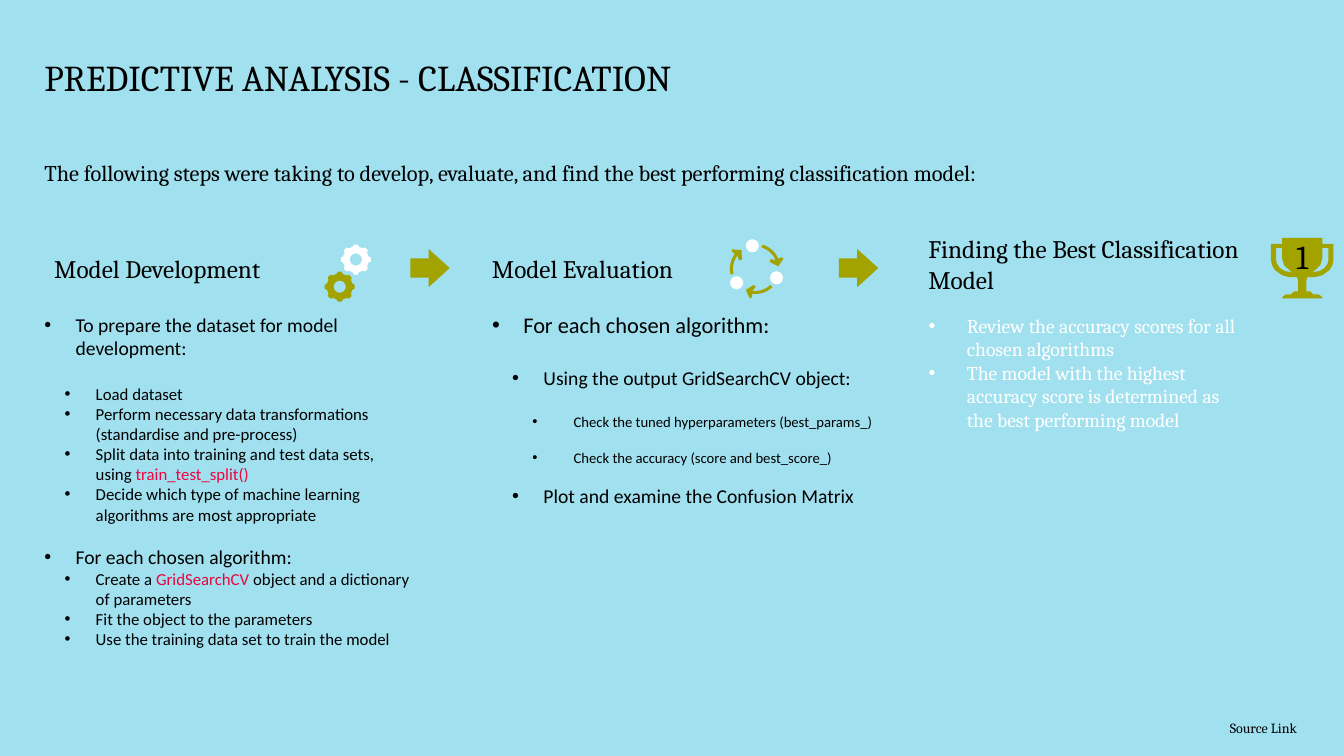
from math import cos, radians, sin

from pptx import Presentation
from pptx import util as u
from pptx.dml.color import RGBColor
from pptx.enum import shapes, text
from pptx.oxml.ns import qn

WIDTH, HEIGHT = u.Inches(13.33), u.Inches(7.5)
SKY, OLIVE, WHITE, BLACK, PINK = "A1E0EE", "A3A300", "FFFFFF", "000000", "EA0440"
SERIF, SANS = "Cambria", "Calibri"

# Left edges of the three columns, in percent of the slide width
COLUMNS = (3.3, 35.86, 68.34)

# List lines: (level, size, space before in points, text); `marks` show code
DEVELOPMENT = [
    (0, 14, 0, "To prepare the dataset for model development:"),
    (1, 12, 17, "Load dataset"),
    (1, 12, 0, "Perform necessary data transformations (standardise and pre-process)"),
    (1, 12, 0, "Split data into training and test data sets, using `train_test_split()`"),
    (1, 12, 0, "Decide which type of machine learning algorithms are most appropriate"),
    (0, 14, 14.6, "For each chosen algorithm:"),
    (1, 12, 0, "Create a `GridSearchCV` object and a dictionary of parameters"),
    (1, 12, 0, "Fit the object to the parameters"),
    (1, 12, 0, "Use the training data set to train the model"),
]
EVALUATION = [
    (0, 16, 0, "For each chosen algorithm:"),
    (1, 14, 19.5, "Using the output GridSearchCV object:"),
    (2, 10.5, 17, "Check the tuned hyperparameters (best_params_)"),
    (2, 10.5, 12.8, "Check the accuracy (score and best_score_)"),
    (1, 14, 12.8, "Plot and examine the Confusion Matrix"),
]
SELECTION = [
    (0, 14, 0, "Review the accuracy scores for all chosen algorithms"),
    (0, 14, 0, "The model with the highest accuracy score is determined as the best "
               "performing model"),
]
# Left margin and hanging indent of each list level, in inches
STEP_INDENTS = [(0.31, 0.31), (0.51, 0.31), (0.81, 0.41)]
WIDE_INDENTS = [(0.38, 0.38)]

# Icon outlines: inches from the icon's centre line, or (degrees, radius)
CUP = [(0.2, 0), (0.2, 0.06), (0.31, 0.06), (0.31, 0.22), (0.3, 0.27), (0.27, 0.32),
       (0.2, 0.37), (0.13, 0.39), (0.05, 0.39), (0.04, 0.43), (0.04, 0.53), (0.08, 0.53),
       (0.11, 0.56), (0.16, 0.56), (0.19, 0.58), (0.2, 0.6)]
HANDLE = [(0.2, 0.1), (0.26, 0.1), (0.26, 0.22), (0.25, 0.26), (0.22, 0.3), (0.17, 0.33),
          (0.1, 0.34), (0.15, 0.3), (0.18, 0.27), (0.2, 0.2)]
TOOTH = [(-14, 0.13), (-7, 0.15), (7, 0.15), (14, 0.13)]
ARROW_HEAD = [(73, 0.28), (77, 0.3), (91, 0.23), (72, 0.16), (65, 0.18), (74, 0.22)]


def color(value):
    return RGBColor.from_string(value)


def across(share):
    return round(WIDTH * share / 100)


def down(share):
    return round(HEIGHT * share / 100)


def area(left, top, width, height):
    return across(left), down(top), across(width), down(height)


def polar(degrees, radius):
    return radius * cos(radians(degrees)), radius * sin(radians(degrees))


def style(font, size, face, ink=BLACK):
    font.size, font.name, font.bold = u.Pt(size), face, False
    font.color.rgb = color(ink)


def move(box, place):
    box.left, box.top, box.width, box.height = place


def set_frame(box, anchor, inset=None):
    frame = box.text_frame
    frame.word_wrap = True
    frame.auto_size = text.MSO_AUTO_SIZE.NONE
    frame.vertical_anchor = anchor
    if inset is not None:
        frame.margin_left = frame.margin_right = u.Inches(inset)
        frame.margin_top = frame.margin_bottom = u.Inches(inset)
    return frame


def write_line(frame, words, size):
    para = frame.paragraphs[0]
    para.text = words
    para.alignment = text.PP_ALIGN.LEFT
    para.space_before = u.Pt(0)
    style(para.font, size, SERIF)
    return para


def fill_placeholder(box, place, words, size, anchor):
    move(box, place)
    return write_line(set_frame(box, anchor, 0), words, size)


def add_label(page, place, words, size, anchor=text.MSO_ANCHOR.TOP):
    box = page.shapes.add_textbox(*place)
    frame = set_frame(box, anchor)
    write_line(frame, words, size)
    return frame


def fill_list(box, place, lines, indents, face, ink=BLACK, inset=None):
    move(box, place)
    frame = set_frame(box, text.MSO_ANCHOR.TOP, inset)
    for index, (level, size, gap, words) in enumerate(lines):
        para = frame.add_paragraph() if index else frame.paragraphs[0]
        para.level = level
        para.space_before = u.Pt(gap)
        margin, hang = indents[level]
        props = para._p.get_or_add_pPr()
        props.set("marL", str(u.Inches(margin)))
        props.set("indent", str(-u.Inches(hang)))
        bullet_font = props.makeelement(qn("a:buFont"), {"typeface": "Arial"})
        props.append(bullet_font)
        props.append(props.makeelement(qn("a:buChar"), {"char": "•"}))
        style(para.font, size, face, ink)
        for part, piece in enumerate(words.split("`")):
            if piece:
                span = para.add_run()
                span.text = piece
                if part % 2:
                    span.font.color.rgb = color(PINK)


def paint(shape, fill):
    shape.shadow.inherit = False
    shape.fill.solid()
    shape.fill.fore_color.rgb = color(fill)
    shape.line.fill.background()
    return shape


def add_outline(page, center, contours, fill):
    x, y = center
    placed = [[(x + u.Inches(dx), y + u.Inches(dy)) for dx, dy in contour]
              for contour in contours]
    builder = page.shapes.build_freeform(*placed[0][0], scale=1.0)
    builder.add_line_segments(placed[0][1:], close=True)
    for contour in placed[1:]:
        builder.move_to(*contour[0])
        builder.add_line_segments(contour[1:], close=True)
    return paint(builder.convert_to_shape(), fill)


def add_gear(page, center, fill):
    rim = [polar(turn + angle, radius) for turn in range(-90, 270, 45)
           for angle, radius in TOOTH]
    hole = [polar(angle, 0.06) for angle in range(0, 360, 15)]
    add_outline(page, center, [rim, hole], fill)


def add_cycle(page, center):
    outer = [(angle, 0.25) for angle in range(24, 75, 5)]
    inner = [(angle, 0.22) for angle in range(74, 23, -5)]
    size = u.Inches(0.13)
    for turn in (-97, 23, 143):
        arrow = [polar(turn + angle, radius) for angle, radius in outer + ARROW_HEAD + inner]
        add_outline(page, center, [arrow], OLIVE)
        dx, dy = polar(turn, 0.23)
        node = page.shapes.add_shape(
            shapes.MSO_SHAPE.OVAL, center[0] + u.Inches(dx) - size // 2,
            center[1] + u.Inches(dy) - size // 2, size, size)
        paint(node, WHITE)


def add_trophy(page, center):
    def mirrored(points):
        return [(-x, y) for x, y in reversed(points)]

    cup = add_outline(page, center, [CUP + mirrored(CUP), HANDLE, mirrored(HANDLE)], OLIVE)
    frame = set_frame(cup, text.MSO_ANCHOR.MIDDLE, 0)
    frame.margin_bottom = u.Inches(0.24)
    write_line(frame, "1", 24).alignment = text.PP_ALIGN.CENTER


def add_step_arrow(page, left):
    arrow = page.shapes.add_shape(shapes.MSO_SHAPE.RIGHT_ARROW, *area(left, 32.93, 2.93, 5.07))
    arrow.adjustments[0], arrow.adjustments[1] = 0.5, 0.55
    paint(arrow, OLIVE)


def main():
    deck = Presentation()
    deck.slide_width, deck.slide_height = WIDTH, HEIGHT
    page = deck.slides.add_slide(deck.slide_layouts.get_by_name("Comparison"))
    page.background.fill.solid()
    page.background.fill.fore_color.rgb = color(SKY)
    slots = page.placeholders
    first, second, third = COLUMNS

    # Title, introduction and link
    title = fill_placeholder(page.shapes.title, area(first, 2.8, 89.8, 10.4),
                             "PREDICTIVE ANALYSIS - CLASSIFICATION", 26,
                             text.MSO_ANCHOR.BOTTOM)
    title.line_spacing = 0.9
    fill_placeholder(slots[1], area(first, 21.07, 93.55, 10.13),
                     "The following steps were taking to develop, evaluate, and find "
                     "the best performing classification model:", 16, text.MSO_ANCHOR.TOP)
    link = add_label(page, area(90.77, 94.53, 7.35, 3.6), "Source Link", 10)
    link.word_wrap = False

    # Column headings
    middle = text.MSO_ANCHOR.MIDDLE
    add_label(page, area(first, 30.4, 28.36, 10.27), "Model Development", 18, middle)
    add_label(page, area(second, 30.93, 20.93, 9.2), "Model Evaluation", 18, middle)
    add_label(page, area(third, 30.27, 28.36, 10.53), "Finding the Best Classification Model", 18)

    # Column lists
    fill_list(slots[2], area(first, 41.33, 27.23, 49.6), DEVELOPMENT, STEP_INDENTS, SANS, inset=0)
    fill_list(slots[4], area(second, 40.53, 32.48, 50.4), EVALUATION, STEP_INDENTS, SANS)
    fill_list(slots[3], area(third, 40.8, 25.36, 50.13), SELECTION, WIDE_INDENTS, SERIF, WHITE)

    # Arrows and icons
    for left in (30.53, 62.42):
        add_step_arrow(page, left)
    add_gear(page, (across(26.48), down(34.33)), WHITE)
    add_gear(page, (across(25.28), down(37.93)), OLIVE)
    add_cycle(page, (across(56.19), down(35.56)))
    add_trophy(page, (across(96.89), down(31.47)))

    deck.save("out.pptx")


if __name__ == "__main__":
    main()
